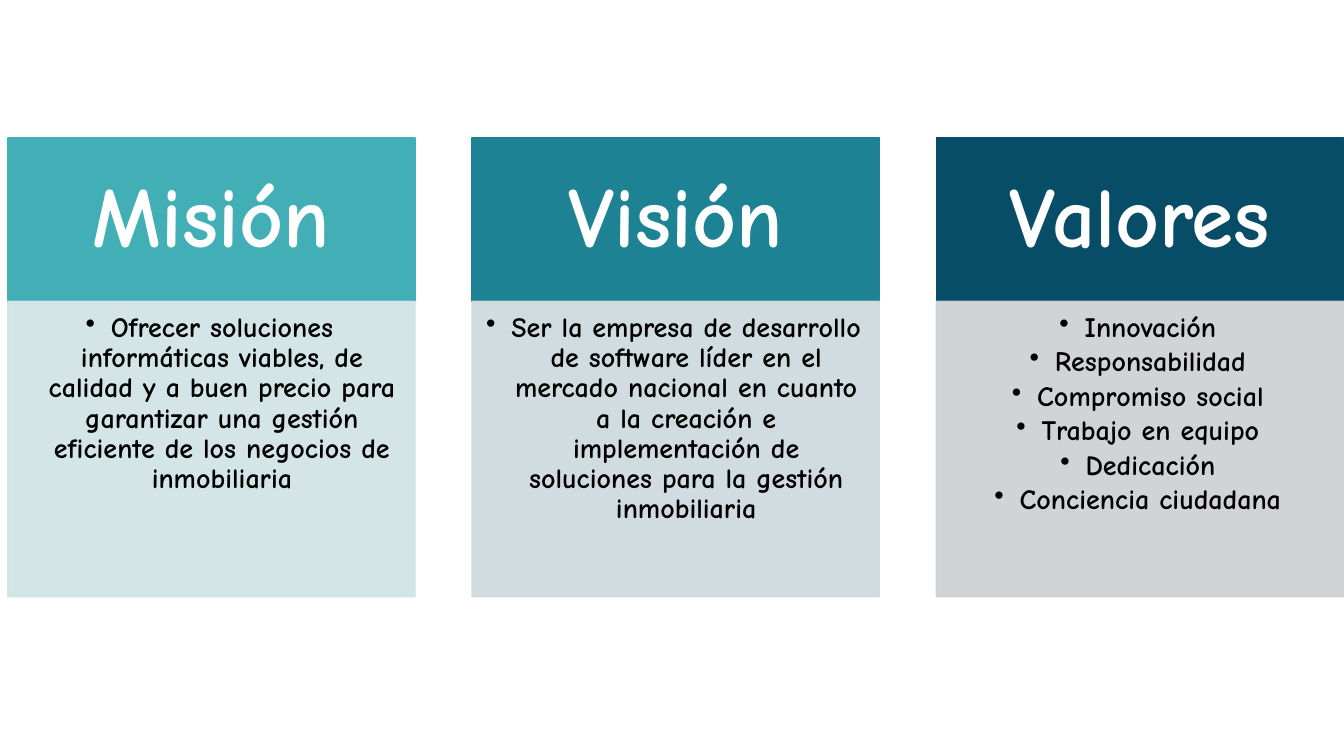
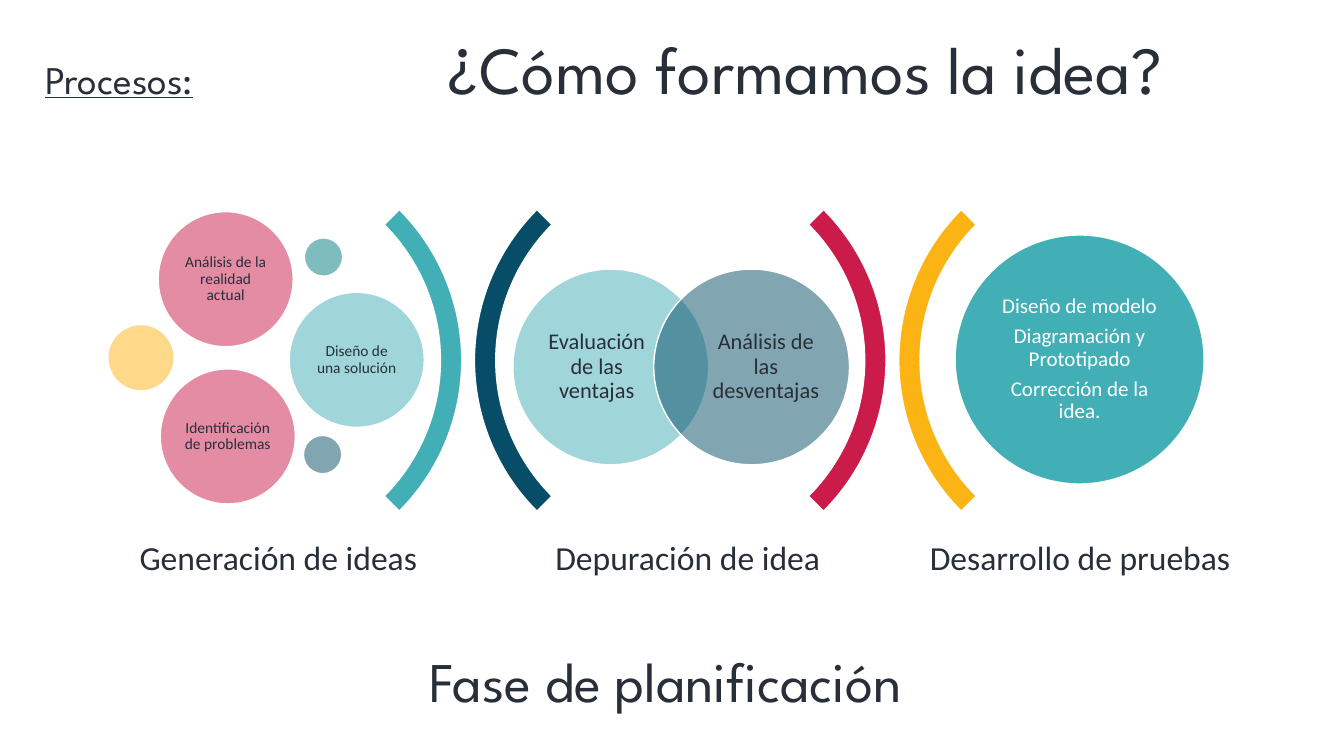
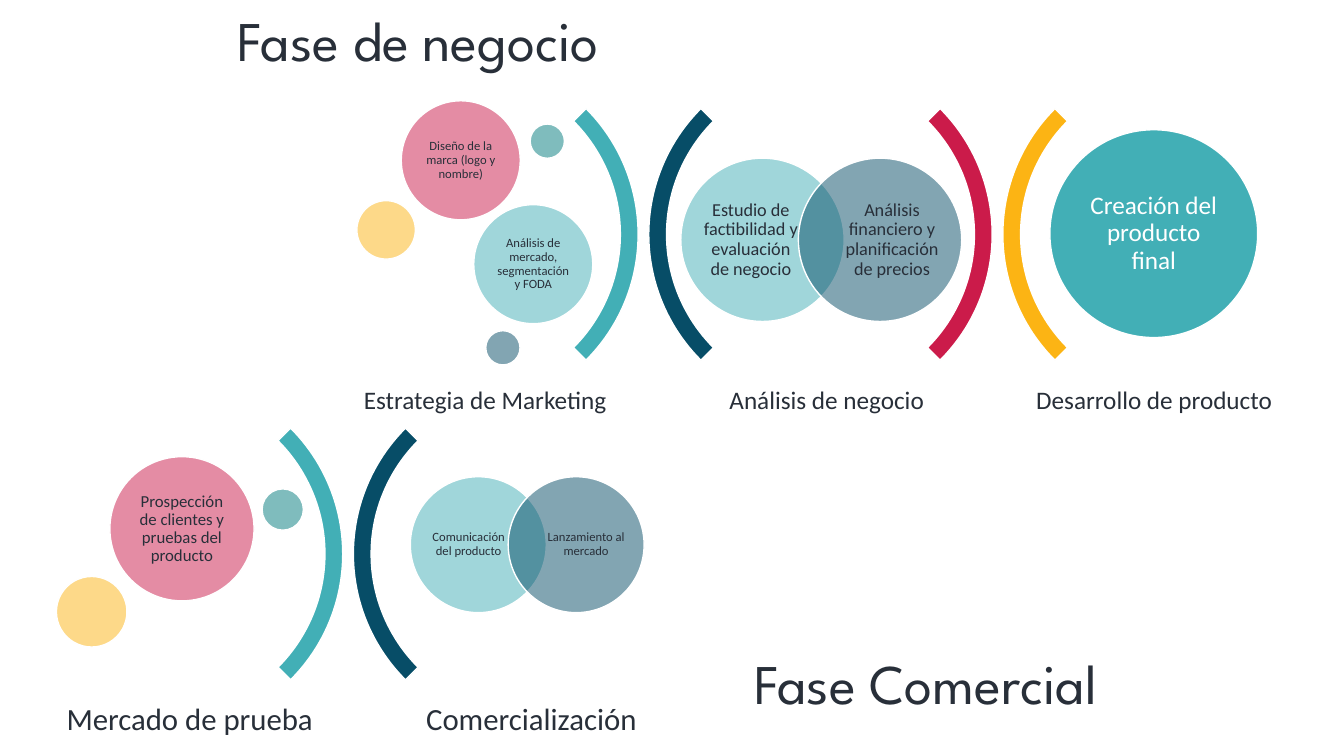
"""Build three slides on company values and the phases of an idea."""
from lxml import etree
from pptx import Presentation
from pptx.dml.color import RGBColor
from pptx.enum import shapes, text
from pptx.oxml.ns import qn
from pptx.util import Pt

WHITE = RGBColor(0xFF, 0xFF, 0xFF)
BLACK = RGBColor(0x00, 0x00, 0x00)
INK = RGBColor(0x28, 0x2F, 0x39)
TEAL = RGBColor(0x42, 0xAF, 0xB6)
DEEP_TEAL = RGBColor(0x1E, 0x82, 0x95)
NAVY = RGBColor(0x07, 0x4D, 0x67)
CRIMSON = RGBColor(0xCB, 0x1B, 0x4A)
AMBER = RGBColor(0xFC, 0xB4, 0x14)
GREEN = RGBColor(0x00, 0x7A, 0x7D)
PALE_TEAL = RGBColor(0xCF, 0xE3, 0xE5)
PALE_BLUE = RGBColor(0xCD, 0xD9, 0xDD)
PALE_GREY = RGBColor(0xCC, 0xD0, 0xD3)

TITLE_FONT = "League Spartan"
BODY_FONT = "Calibri"
CARD_FONT = "Comic Neue"
TITLE_ONLY, BLANK = 5, 6

ARC_OFFSETS = (0, 1.03, 0.995, 2.025)
ARC_COLORS = (TEAL, NAVY, CRIMSON, AMBER)
CAPTION_OFFSETS = (0.19, 1.15, 2.07)

CARDS = (
    ("Misión", TEAL, PALE_TEAL,
     ["Ofrecer soluciones informáticas viables, de calidad y a buen precio para "
      "garantizar una gestión eficiente de los negocios de inmobiliaria"]),
    ("Visión", DEEP_TEAL, PALE_BLUE,
     ["Ser la empresa de desarrollo de software líder en el mercado nacional en cuanto "
      "a la creación e implementación de soluciones para la gestión inmobiliaria"]),
    ("Valores", NAVY, PALE_GREY,
     ["Innovación", "Responsabilidad", "Compromiso social", "Trabajo en equipo",
      "Dedicación", "Conciencia ciudadana"]),
)


def points(*lengths):
    """Convert plain numbers to point lengths."""
    return [Pt(length) for length in lengths]


def set_frame(frame, insets=(0, 0, 0, 0), anchor=text.MSO_ANCHOR.MIDDLE):
    """Set wrapping, insets and vertical anchor of a text frame."""
    frame.word_wrap = True
    frame.auto_size = text.MSO_AUTO_SIZE.NONE
    frame.vertical_anchor = anchor
    (frame.margin_left, frame.margin_top,
     frame.margin_right, frame.margin_bottom) = points(*insets)


def set_font(run, size, name, color, bold=False):
    """Format one run."""
    run.font.size = Pt(size)
    run.font.name = name
    run.font.color.rgb = color
    run.font.bold = bold


def write(frame, lines, size, name=BODY_FONT, color=INK, bold=False, spacing=0.9, after=0.35):
    """Fill a frame with centred paragraphs."""
    frame.text = "\n".join(lines)
    for paragraph in frame.paragraphs:
        paragraph.alignment = text.PP_ALIGN.CENTER
        paragraph.line_spacing = spacing
        paragraph.space_after = Pt(size * after)
        for run in paragraph.runs:
            set_font(run, size, name, color, bold)


def add_bullets(frame, indent=18):
    """Give every paragraph a round bullet with a hanging indent."""
    for paragraph in frame.paragraphs:
        properties = paragraph._p.get_or_add_pPr()
        properties.set("marL", str(Pt(indent)))
        properties.set("indent", str(Pt(-indent)))
        etree.SubElement(properties, qn("a:buChar"), char="•")


def add_shape(slide, kind, box, color, outline=WHITE, opacity=100):
    """Draw a filled shape; opacity applies to every part in the fill colour."""
    shape = slide.shapes.add_shape(kind, *points(*box))
    shape.shadow.inherit = False
    shape.fill.solid()
    shape.fill.fore_color.rgb = color
    shape.line.color.rgb = outline
    shape.line.width = Pt(1)
    if opacity < 100:
        for element in shape.element.spPr.iter(qn("a:srgbClr")):
            if element.get("val") == str(color):
                etree.SubElement(element, qn("a:alpha"), val=str(opacity * 1000))
    return shape


def add_label(slide, box, label, size):
    """Add a centred text box without insets."""
    frame = slide.shapes.add_textbox(*points(*box)).text_frame
    set_frame(frame)
    write(frame, [label], size)


def write_phase(shape, label):
    """Style a phase heading."""
    set_frame(shape.text_frame, (7.2, 3.6, 7.2, 3.6), text.MSO_ANCHOR.TOP)
    write(shape.text_frame, [label], 40, TITLE_FONT, spacing=1.0, after=0)


def place(shape, box):
    """Move and size a shape."""
    shape.left, shape.top, shape.width, shape.height = points(*box)


def add_circle(slide, color, left, top, diameter, lines=(), size=11, ink=INK, opacity=50):
    """Draw a circle with optional text."""
    circle = add_shape(slide, shapes.MSO_SHAPE.OVAL, (left, top, diameter, diameter),
                       color, opacity=opacity)
    if lines:
        set_frame(circle.text_frame, [size * 0.3] * 4)
        write(circle.text_frame, lines, size, color=ink)


def add_venn(slide, left, top, diameter, labels, size):
    """Draw two overlapping circles with labels clear of the overlap."""
    for index, (color, label) in enumerate(zip((TEAL, NAVY), labels)):
        circle_left = left + index * 0.72 * diameter
        add_circle(slide, color, circle_left, top, diameter)
        add_label(slide, (circle_left + (0.14, 0.284)[index] * diameter, top + 0.118 * diameter,
                          0.577 * diameter, 0.763 * diameter), label, size)


def add_stages(slide, left, top, size, captions, caption_size, arc_count=4):
    """Draw the curved brackets of a process and the captions below."""
    for index in range(arc_count):
        arc = add_shape(slide, shapes.MSO_SHAPE.BLOCK_ARC,
                        (left + ARC_OFFSETS[index] * size, top, size, size), ARC_COLORS[index])
        arc.rotation = 270 if index % 2 else 90
        for position, value in enumerate((135, 189, 0.05)):
            arc.adjustments[position] = value
    for offset, caption in zip(CAPTION_OFFSETS, captions):
        add_label(slide, (left + offset * size, top + 0.868 * size, 0.76 * size, 0.2 * size),
                  caption, caption_size)


def add_result(slide, left, top, size, lines, font_size):
    """Draw the large closing circle of a process."""
    add_circle(slide, TEAL, left + 2.157 * size, top + 0.206 * size, 0.584 * size,
               lines, font_size, WHITE, 100)


def build_values(presentation):
    """Build the mission, vision and values cards."""
    slide = presentation.slides.add_slide(presentation.slide_layouts[BLANK])
    for index, (heading, color, pale, lines) in enumerate(CARDS):
        left = 5.6 + index * 331.6
        header = add_shape(slide, shapes.MSO_SHAPE.RECTANGLE, (left, 98.6, 290.9, 116.6),
                           color, color)
        set_frame(header.text_frame, (33.8, 19.4, 33.8, 19.4))
        write(header.text_frame, [heading], 61, CARD_FONT, WHITE, True)
        body = add_shape(slide, shapes.MSO_SHAPE.RECTANGLE, (left, 215.2, 290.9, 211),
                         pale, pale, 90)
        set_frame(body.text_frame, (8.6, 8.6, 11.5, 12.2), text.MSO_ANCHOR.TOP)
        write(body.text_frame, lines, 20, CARD_FONT, BLACK, True, after=0.15)
        add_bullets(body.text_frame)


def build_planning(presentation):
    """Build the planning phase."""
    slide = presentation.slides.add_slide(presentation.slide_layouts[TITLE_ONLY])
    title = slide.shapes.title
    place(title, (25.2, 0, 920.9, 104.4))
    set_frame(title.text_frame, (7.2, 3.6, 7.2, 3.6))
    paragraph = title.text_frame.paragraphs[0]
    paragraph.alignment = text.PP_ALIGN.LEFT
    paragraph.line_spacing = 0.9
    for label, size in (("Procesos:", 28), ("\t¿Cómo formamos la idea?", 48)):
        run = paragraph.add_run()
        run.text = label
        set_font(run, size, TITLE_FONT, INK)
    paragraph.runs[0].font.underline = True
    tabs = etree.SubElement(paragraph._p.get_or_add_pPr(), qn("a:tabLst"))
    etree.SubElement(tabs, qn("a:tab"), pos=str(Pt(288)), algn="l")

    left, top, size = 25.2, 105.1, 304.6
    add_stages(slide, left, top, size,
               ("Generación de ideas", "Depuración de idea", "Desarrollo de pruebas"), 24)
    add_venn(slide, left + 1.12 * size, top + 0.286 * size, 0.459 * size,
             ("Evaluación de las ventajas", "Análisis de las desventajas"), 16)
    for circle in (
        (CRIMSON, 113, 151.2, 96.5, ["Análisis de la realidad actual"]),
        (AMBER, 77, 231.8, 47.5),
        (GREEN, 217.4, 169.9, 27.4),
        (TEAL, 206.6, 208.8, 96.5, ["Diseño de una solución"]),
        (NAVY, 216.7, 311, 27.4),
        (CRIMSON, 114.5, 263.5, 96.5, ["Identificación de problemas"]),
    ):
        add_circle(slide, *circle)
    add_result(slide, left, top, size,
               ["Diseño de modelo", "Diagramación y Prototipado", "Corrección de la idea."], 15)
    write_phase(slide.shapes.add_textbox(*points(25.2, 458.6, 900.7, 55.4)),
                "Fase de planificación")


def build_business(presentation):
    """Build the business and commercial phases."""
    slide = presentation.slides.add_slide(presentation.slide_layouts[TITLE_ONLY])
    place(slide.shapes.title, (0, 0, 597.6, 55.4))
    write_phase(slide.shapes.title, "Fase de negocio")

    left, top, size = 201.6, 40.3, 254.2
    add_stages(slide, left, top, size,
               ("Estrategia de Marketing", "Análisis de negocio", "Desarrollo de producto"), 18)
    add_venn(slide, left + 1.12 * size, top + 0.286 * size, 0.459 * size,
             ("Estudio de factibilidad y evaluación de negocio",
              "Análisis financiero y planificación de precios"), 13)
    add_result(slide, left, top, size, ["Creación del producto final"], 18)

    left, top = -9.4, 268.6
    add_stages(slide, left, top, size, ("Mercado de prueba", "Comercialización"), 22, 2)
    add_venn(slide, left + 1.19 * size, top + 0.283 * size, 0.382 * size,
             ("Comunicación del producto", "Lanzamiento al mercado"), 9)
    for circle in (
        (CRIMSON, 286.6, 72, 85, ["Diseño de la marca (logo y nombre)"], 9),
        (AMBER, 254.9, 143.3, 41.8),
        (GREEN, 378.7, 88.6, 24.5),
        (TEAL, 338.4, 146.2, 85, ["Análisis de mercado, segmentación y FODA"], 9),
        (NAVY, 347, 236.2, 24.5),
        (CRIMSON, 78.5, 326.2, 103, ["Prospección de clientes y pruebas del producto"], 12),
        (AMBER, 40.3, 411.8, 50.4),
        (GREEN, 187.2, 349.2, 29.5),
    ):
        add_circle(slide, *circle)
    write_phase(slide.shapes.add_textbox(*points(480.2, 459.4, 362.2, 55.4)), "Fase Comercial")


def main():
    """Create and save the presentation."""
    presentation = Presentation()
    presentation.slide_width, presentation.slide_height = points(960, 540)
    build_values(presentation)
    build_planning(presentation)
    build_business(presentation)
    presentation.save("out.pptx")


if __name__ == "__main__":
    main()
